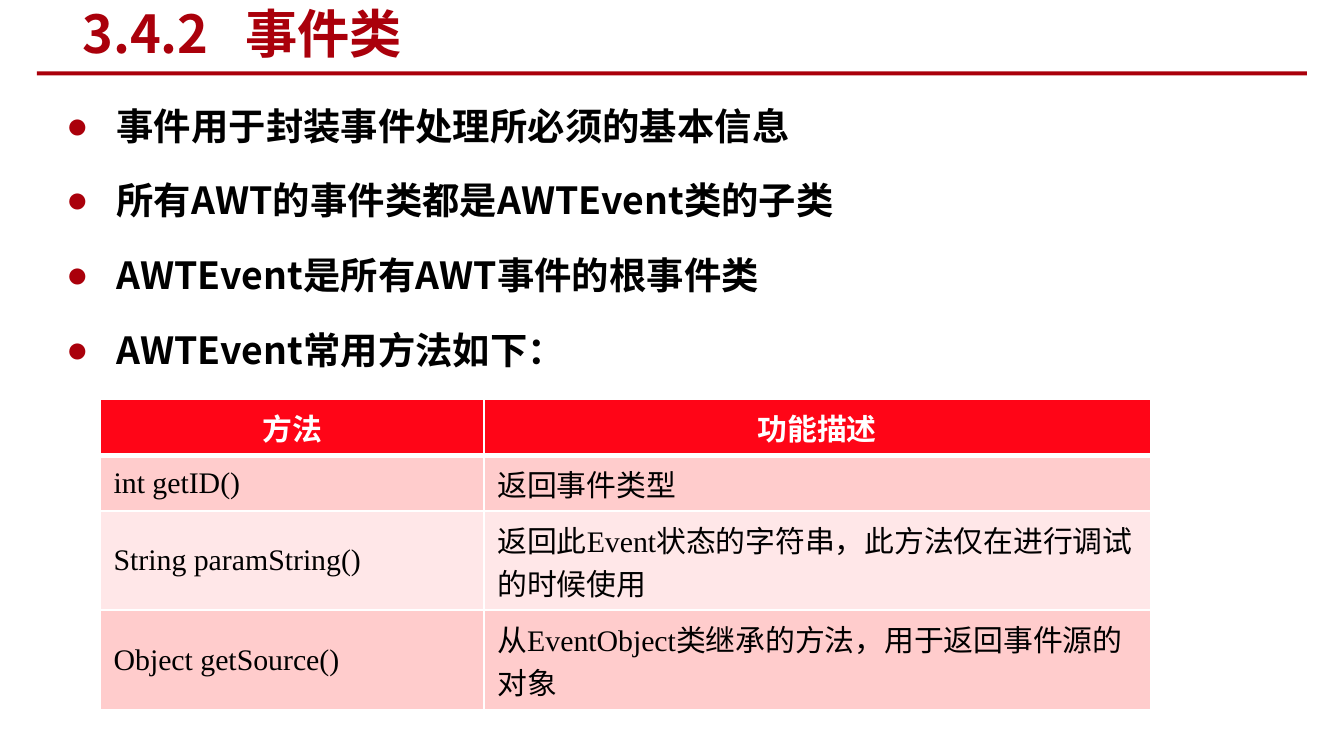
from dataclasses import dataclass

from lxml.etree import SubElement
from pptx import Presentation
from pptx.dml.color import RGBColor as RGB
from pptx.enum.shapes import MSO_SHAPE as SHAPE
from pptx.enum.text import MSO_ANCHOR as ANCHOR, PP_ALIGN as ALIGN
from pptx.oxml.ns import qn
from pptx.util import Pt

# Content
TITLE = "3.4.2\t事件类"
BULLETS = [
    "事件用于封装事件处理所必须的基本信息",
    "所有AWT的事件类都是AWTEvent类的子类",
    "AWTEvent是所有AWT事件的根事件类",
    "AWTEvent常用方法如下：",
]
HEADER = ["方法", "功能描述"]
# Each method with its description, split where the script changes
METHODS = [
    ("int getID()", ["返回事件类型"]),
    ("String paramString()",
     ["返回此", "Event", "状态的字符串，此方法仅在进行调试的时候使用"]),
    ("Object getSource()",
     ["从", "EventObject", "类继承的方法，用于返回事件源的对象"]),
]


@dataclass(frozen=True)
class Theme:
    accent: str = "AA000B"
    text: str = "000000"
    white: str = "FFFFFF"
    header: str = "FF0517"
    bands: tuple = ("FFCCCC", "FFE7E8")
    heading_font: str = "Noto Sans CJK SC"
    header_font: str = "Calibri"
    code_font: str = "Times New Roman"
    cell_font: str = "Arial"
    title_size: int = 28
    body_size: int = 20
    table_size: int = 16


T = Theme()

# Layout in points: left, top, width, height
RULE = (19.7, 38.2, 680.4, 2.2)
TITLE_BOX = (37, 1.4, 493.2, 32.4)
TITLE_TAB = 87.5
BODY_BOX = (28.3, 39.6, 646.6, 151.9)
INDENT = 27
TABLE_AT = (53.7, 213.8)
COLUMNS = (205.6, 357)
ONE_LINE, TWO_LINES = 30, 53.2
ROWS = (ONE_LINE, ONE_LINE, TWO_LINES, TWO_LINES)


def points(box):
    return [Pt(v) for v in box]


def add_text(p, text, *, size, color, font, bold=False, align=None):
    """Append one formatted run to a paragraph."""
    r = p.add_run()
    r.text = text
    r.font.size = Pt(size)
    r.font.bold = bold
    r.font.color.rgb = RGB.from_string(color)
    r.font.name = font
    SubElement(r.font._element, qn("a:ea"), typeface=T.heading_font)
    if align is not None:
        p.alignment = align


def add_box(slide, box):
    tf = slide.shapes.add_textbox(*points(box)).text_frame
    tf.word_wrap = True
    return tf


def add_bullet(p):
    pPr = p._p.get_or_add_pPr()
    pPr.set("marL", str(Pt(INDENT)))
    pPr.set("indent", str(-Pt(INDENT)))
    color = SubElement(pPr, qn("a:buClr"))
    SubElement(color, qn("a:srgbClr"), val=T.accent)
    SubElement(pPr, qn("a:buFont"), typeface="Arial")
    SubElement(pPr, qn("a:buChar"), char="●")


def style_cell(cell, fill, top=1, bottom=1):
    tcPr = cell._tc.get_or_add_tcPr()
    for side, width in (("L", 1), ("R", 1), ("T", top), ("B", bottom)):
        ln = SubElement(tcPr, qn(f"a:ln{side}"), w=str(Pt(width)))
        solid = SubElement(ln, qn("a:solidFill"))
        SubElement(solid, qn("a:srgbClr"), val=T.white)
    cell.fill.solid()
    cell.fill.fore_color.rgb = RGB.from_string(fill)


def build_heading(slide):
    # Rule under the title
    sp = slide.shapes.add_shape(SHAPE.RECTANGLE, *points(RULE))
    sp.shadow.inherit = False
    sp.fill.solid()
    sp.fill.fore_color.rgb = RGB.from_string(T.accent)
    sp.line.fill.background()

    # Title, with a tab stop after the section number
    tf = add_box(slide, TITLE_BOX)
    tf.vertical_anchor = ANCHOR.MIDDLE
    p = tf.paragraphs[0]
    tabs = SubElement(p._p.get_or_add_pPr(), qn("a:tabLst"))
    SubElement(tabs, qn("a:tab"), pos=str(Pt(TITLE_TAB)), algn="l")
    add_text(p, TITLE, size=T.title_size, color=T.accent,
             font=T.heading_font, bold=True)


def build_bullets(slide):
    tf = add_box(slide, BODY_BOX)
    for i, text in enumerate(BULLETS):
        p = tf.add_paragraph() if i else tf.paragraphs[0]
        p.line_spacing = 1.5
        p.space_before = Pt(4)
        add_bullet(p)
        add_text(p, text, size=T.body_size, color=T.text,
                 font=T.heading_font, bold=True)


def build_table(slide):
    size = (sum(COLUMNS), sum(ROWS))
    table = slide.shapes.add_table(
        len(ROWS), len(COLUMNS), *points(TABLE_AT + size)).table
    for column, width in zip(table.columns, COLUMNS):
        column.width = Pt(width)
    for row, height in zip(table.rows, ROWS):
        row.height = Pt(height)

    # Header row
    for cell, text in zip(table.rows[0].cells, HEADER):
        style_cell(cell, T.header, bottom=3)
        add_text(cell.text_frame.paragraphs[0], text, size=T.table_size,
                 color=T.white, font=T.header_font, bold=True,
                 align=ALIGN.CENTER)

    # Method rows in alternating bands
    for i, (method, description) in enumerate(METHODS):
        cells = table.rows[i + 1].cells
        for cell, parts in zip(cells, ([method], description)):
            style_cell(cell, T.bands[i % 2], top=1 if i else 3)
            for part in parts:
                font = T.code_font if part.isascii() else T.cell_font
                add_text(cell.text_frame.paragraphs[0], part,
                         size=T.table_size, color=T.text, font=font)
        table.cell(i + 1, 0).vertical_anchor = ANCHOR.MIDDLE


def main():
    prs = Presentation()
    prs.slide_width, prs.slide_height = Pt(720), Pt(405)
    slide = prs.slides.add_slide(prs.slide_layouts[6])
    build_heading(slide)
    build_bullets(slide)
    build_table(slide)
    prs.save("out.pptx")


if __name__ == "__main__":
    main()
